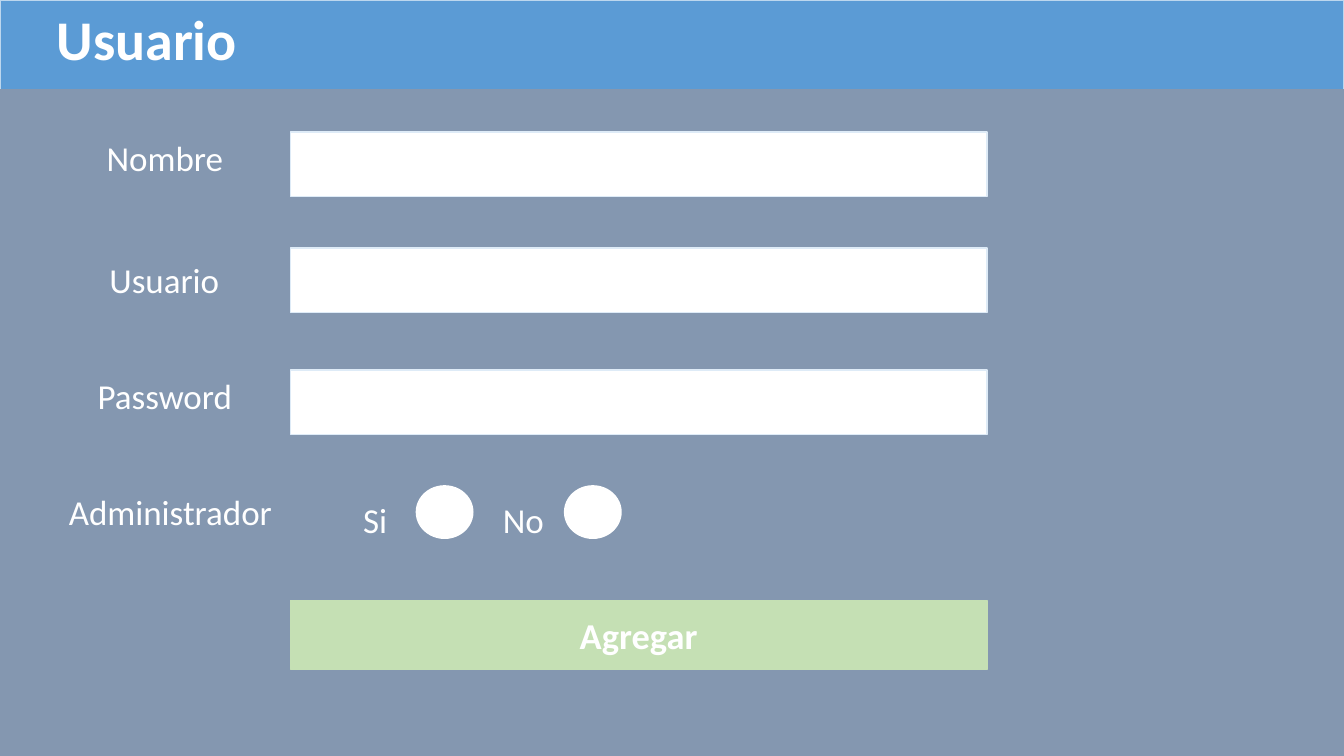
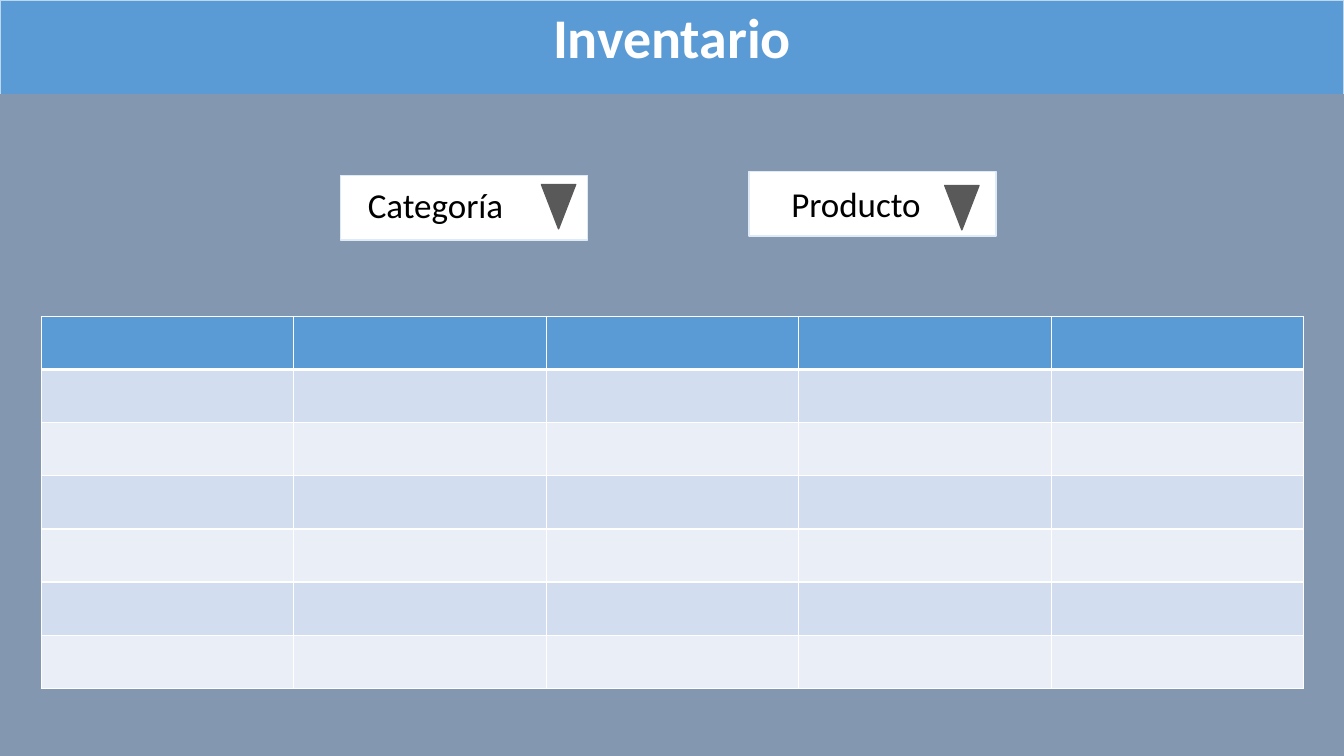
from lxml.etree import Element, SubElement
from pptx import Presentation
from pptx.dml.color import RGBColor
from pptx.enum.shapes import MSO_SHAPE
from pptx.enum.text import MSO_ANCHOR, MSO_AUTO_SIZE, PP_ALIGN
from pptx.oxml.ns import qn
from pptx.util import Inches, Pt

COLORS = {
    "header": "5B9BD5",
    "header_edge": "BDD7EE",
    "body": "8497B0",
    "white": "FFFFFF",
    "black": "000000",
    "field_edge": "DEEBF7",
    "button": "C5E0B4",
    "arrow": "595959",
    "odd_row": "D2DEEF",
    "even_row": "EAEFF7",
}
FONT = "Calibri"
SLIDE_W, SLIDE_H = 13.33, 7.5


def rgb(name):
    """Return the named palette colour."""
    return RGBColor.from_string(COLORS[name])


def write(frame, text, size=25, color="white", bold=False, wrap=False):
    """Write one centred, formatted line into a text frame."""
    frame.word_wrap = wrap
    paragraph = frame.paragraphs[0]
    paragraph.alignment = PP_ALIGN.CENTER
    run = paragraph.add_run()
    run.text = text
    run.font.name = FONT
    run.font.size = Pt(size)
    run.font.bold = bold
    run.font.color.rgb = rgb(color)


def add_label(slide, box, text, **style):
    """Add a text box that grows with its text."""
    label = slide.shapes.add_textbox(*map(Inches, box))
    write(label.text_frame, text, **style)
    label.text_frame.auto_size = MSO_AUTO_SIZE.SHAPE_TO_FIT_TEXT


def add_block(slide, box, fill, edge=None, kind=MSO_SHAPE.RECTANGLE):
    """Add a filled shape with a thin edge and no shadow."""
    block = slide.shapes.add_shape(kind, *map(Inches, box))
    block.shadow.inherit = False
    block.fill.solid()
    block.fill.fore_color.rgb = rgb(fill)
    block.line.color.rgb = rgb(edge or fill)
    block.line.width = Pt(1)
    return block


def add_screen(deck, title, title_box, body_top):
    """Add a slide with the header, body and title that all screens share."""
    slide = deck.slides.add_slide(deck.slide_layouts[6])
    add_block(slide, (0, 0, SLIDE_W, SLIDE_H), "header", "header_edge")
    add_block(slide, (0, body_top, SLIDE_W, SLIDE_H - body_top), "body")
    add_label(slide, title_box, title, size=40, bold=True)
    return slide


def add_field(slide, box):
    """Add an empty white entry field."""
    add_block(slide, box, "white", "field_edge")


def add_admin_choice(slide, box):
    """Add the Si and No radio buttons from the left edge of the box."""
    left, top, width, height = box
    pitch = width / 2
    for index, option in enumerate(("Si", "No")):
        x = left + index * pitch
        add_label(slide, (x, top + 0.08, 0.7, 0.53), option, wrap=True)
        add_block(slide, (x + 0.76, top, 0.56, height), "white", kind=MSO_SHAPE.OVAL)


def add_submit(slide, box, text):
    """Add the wide button that submits the form."""
    button = add_block(slide, box, "button")
    button.text_frame.vertical_anchor = MSO_ANCHOR.MIDDLE
    write(button.text_frame, text, size=26, bold=True)


def add_dropdown(slide, box, text, text_box, arrow_at):
    """Add a selector; its text and arrow are placed relative to the box."""
    left, top, _, _ = box
    add_field(slide, box)
    dx, dy, width, height = text_box
    add_label(slide, (left + dx, top + dy, width, height), text, color="black")
    dx, dy = arrow_at
    arrow = add_block(slide, (left + dx, top + dy, 0.34, 0.44), "arrow",
                      kind=MSO_SHAPE.ISOSCELES_TRIANGLE)
    arrow.rotation = 180


def set_borders(cell, top=1, bottom=1):
    """Give a cell white borders, with widths in points."""
    properties = cell._tc.get_or_add_tcPr()
    widths = {"lnL": 1, "lnR": 1, "lnT": top, "lnB": bottom}
    for index, (side, width) in enumerate(widths.items()):
        border = Element(qn(f"a:{side}"), w=str(Pt(width)))
        fill = SubElement(border, qn("a:solidFill"))
        SubElement(fill, qn("a:srgbClr"), val=COLORS["white"])
        properties.insert(index, border)


def add_stock_table(slide, box, rows=7, columns=5):
    """Add the empty banded inventory table with a header row."""
    table = slide.shapes.add_table(rows, columns, *map(Inches, box)).table
    for column in table.columns:
        column.width = Inches(box[2] / columns)
    for index, row in enumerate(table.rows):
        row.height = Inches(box[3] / rows)
        fill = "header" if index == 0 else ("even_row", "odd_row")[index % 2]
        for cell in row.cells:
            cell.fill.solid()
            cell.fill.fore_color.rgb = rgb(fill)
            set_borders(cell, top=3 if index == 1 else 1, bottom=3 if index == 0 else 1)


def build_user_form(deck):
    """Build the form for adding a user."""
    slide = add_screen(deck, "Usuario", (0.45, 0, 2.01, 0.77), 0.89)
    left, width = 2.88, 6.91
    for text, label_left, label_top, label_width, field_top in (
        ("Nombre", 0.95, 1.31, 1.37, 1.31),
        ("Usuario", 0.98, 2.52, 1.3, 2.46),
        ("Password", 0.86, 3.67, 1.55, 3.67),
    ):
        add_label(slide, (label_left, label_top, label_width, 0.52), text)
        add_field(slide, (left, field_top, width, 0.64))
    add_label(slide, (0.57, 4.82, 2.24, 0.52), "Administrador")
    add_admin_choice(slide, (3.37, 4.82, 2.94, 0.52))
    add_submit(slide, (left, 5.96, width, 0.68), "Agregar")


def build_inventory(deck):
    """Build the inventory screen with its two selectors and table."""
    slide = add_screen(deck, "Inventario", (5.37, -0.02, 2.59, 0.77), 0.94)
    add_stock_table(slide, (0.41, 3.14, 12.52, 3.69))
    add_dropdown(slide, (3.38, 1.74, 2.45, 0.64), "Categoría",
                 (0.16, 0.03, 1.56, 0.52), (1.99, 0.09))
    add_dropdown(slide, (7.43, 1.7, 2.45, 0.64), "Producto",
                 (0.31, 0.06, 1.5, 0.52), (1.94, 0.14))


def main():
    """Build and save the deck."""
    deck = Presentation()
    deck.slide_width, deck.slide_height = Inches(SLIDE_W), Inches(SLIDE_H)
    build_user_form(deck)
    build_inventory(deck)
    deck.save("out.pptx")


if __name__ == "__main__":
    main()
